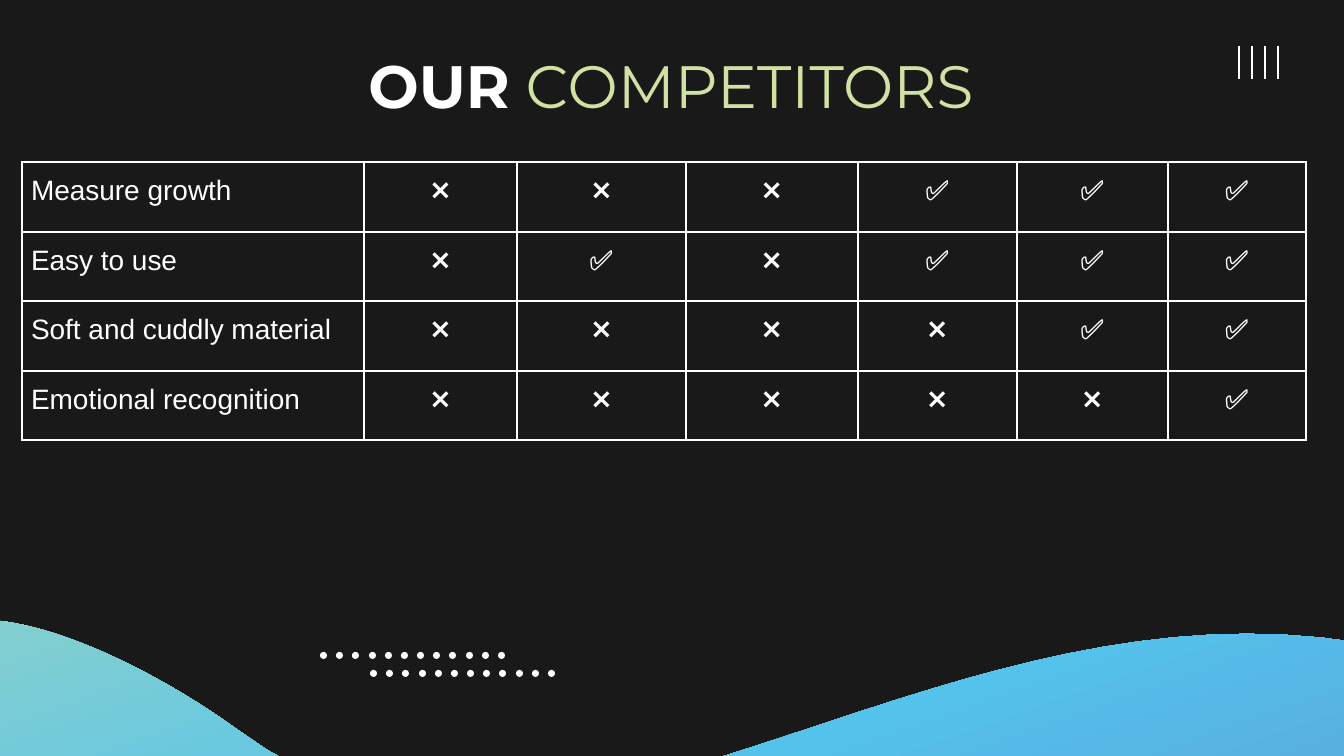
from math import cos, radians, sin

from lxml import etree
from pptx import Presentation
from pptx.dml.color import RGBColor
from pptx.enum.shapes import MSO_CONNECTOR as CONNECTOR, MSO_SHAPE as SHAPE
from pptx.enum.text import MSO_ANCHOR as ANCHOR, PP_ALIGN as ALIGN
from pptx.oxml.ns import qn
from pptx.util import Pt

SCALE = 914400 / 134.4
DARK = RGBColor(0x19, 0x19, 0x19)
WHITE = RGBColor(0xFF, 0xFF, 0xFF)
LIME = RGBColor(0xD0, 0xE1, 0xA3)
SKY = RGBColor(0x53, 0xC3, 0xEC)
BLUE = RGBColor(0x5C, 0x9C, 0xD5)
VIOLET = RGBColor(0x6E, 0x66, 0xAB)
WAVE_STOPS = [(0, LIME), (46, SKY), (66, BLUE), (100, VIOLET)]
WAVE_START = (-1, 621)
WAVE = [
    [(71, 629), (169, 680), (239, 731)],
    [(597, 996), (1025, 448), (1550, 704)],
    [(1648, 981)],
    [(1219, 1133)],
    [(1098, 1067), (567, 1058), (465, 1071)],
    [(-4, 1137), (-31, 1193), (-133, 1207)],
]
WAVE_CENTRE = (673, 855)
WAVE_TURN = -19.5
COLUMNS = [342, 153, 169, 172, 159, 151, 138]
ROWS = [70, 69, 70, 69]
FEATURES = [
    ("Measure growth", "❌❌❌✅✅✅"),
    ("Easy to use", "❌✅❌✅✅✅"),
    ("Soft and cuddly material", "❌❌❌❌✅✅"),
    ("Emotional recognition", "❌❌❌❌❌✅"),
]


def px(n):
    """Turn px into EMU."""
    return round(n * SCALE)


def add_run(p, text, font="Arial", size=15, color=WHITE, bold=False):
    """Add formatted text to a paragraph."""
    r = p.add_run()
    r.text = text
    r.font.name = font
    r.font.size = Pt(size)
    r.font.color.rgb = color
    r.font.bold = bold


def set_margins(box, size):
    """Give a text frame or cell equal margins."""
    box.margin_left = box.margin_right = px(size)
    box.margin_top = box.margin_bottom = px(size)


def flatten(start, segments, steps=40):
    """Return the points along a chain of lines and cubic curves."""
    points = [start]
    for seg in segments:
        if len(seg) == 1:
            points += seg
            continue
        ctrl = [points[-1], *seg]
        for i in range(1, steps + 1):
            t = i / steps
            weights = [(1 - t) ** 3, 3 * t * (1 - t) ** 2, 3 * t * t * (1 - t), t ** 3]
            points.append(tuple(sum(w * c[k] for w, c in zip(weights, ctrl)) for k in (0, 1)))
    return points


def turn(point, centre, degrees):
    """Turn a point clockwise about a centre."""
    a = radians(degrees)
    dx, dy = point[0] - centre[0], point[1] - centre[1]
    return centre[0] + dx * cos(a) - dy * sin(a), centre[1] + dx * sin(a) + dy * cos(a)


def add_wave(s):
    """Draw the turned gradient wave."""
    points = [turn(pt, WAVE_CENTRE, -WAVE_TURN) for pt in flatten(WAVE_START, WAVE)]
    emu = [(px(x), px(y)) for x, y in points]
    fb = s.shapes.build_freeform(*emu[0])
    fb.add_line_segments(emu[1:], close=True)
    sp = fb.convert_to_shape()
    sp.rotation = WAVE_TURN % 360
    sp.shadow.inherit = False
    sp.line.fill.background()
    sp.fill.gradient()
    sp.fill.gradient_angle = 270
    stops = sp._element.spPr.find(".//" + qn("a:gsLst"))
    for old in list(stops):
        stops.remove(old)
    for pos, color in WAVE_STOPS:
        gs = etree.SubElement(stops, qn("a:gs"), pos=str(pos * 1000))
        etree.SubElement(gs, qn("a:srgbClr"), val=str(color))


def add_dots(s, left, top, count=12, span=178, size=7):
    """Draw an evenly spaced row of dots."""
    for i in range(count):
        x = left + round(span * i / (count - 1))
        sp = s.shapes.add_shape(SHAPE.OVAL, px(x), px(top), px(size), px(size))
        sp.shadow.inherit = False
        sp.fill.solid()
        sp.fill.fore_color.rgb = WHITE
        sp.line.fill.background()


def add_bar(s, x, top, bottom):
    """Draw a thin vertical line."""
    ln = s.shapes.add_connector(CONNECTOR.STRAIGHT, px(x), px(top), px(x), px(bottom))
    ln.line.color.rgb = WHITE
    ln.line.width = Pt(1.5)
    etree.SubElement(ln._element.spPr, qn("a:effectLst"))


def add_title(s):
    """Add the two-tone title."""
    tf = s.shapes.add_textbox(px(313), px(36), px(716), px(85)).text_frame
    tf.word_wrap = True
    tf.vertical_anchor = ANCHOR.TOP
    set_margins(tf, 13)
    p = tf.paragraphs[0]
    p.alignment = ALIGN.CENTER
    add_run(p, "OUR", font="Montserrat", size=32, bold=True)
    add_run(p, " COMPETITORS", font="Montserrat", size=32, color=LIME)


def set_borders(cell):
    """Give a cell white borders on all sides and no fill."""
    tcPr = cell._tc.get_or_add_tcPr()
    for side in ("lnL", "lnR", "lnT", "lnB"):
        ln = etree.SubElement(tcPr, qn("a:" + side), w=str(Pt(1)))
        fill = etree.SubElement(ln, qn("a:solidFill"))
        etree.SubElement(fill, qn("a:srgbClr"), val=str(WHITE))
    cell.fill.background()


def fill_cell(cell, text, align):
    """Write and format one table cell."""
    set_margins(cell, 9)
    set_borders(cell)
    p = cell.text_frame.paragraphs[0]
    p.alignment = align
    p.line_spacing = 1.15
    add_run(p, text)


def add_features(s):
    """Add the table that compares features."""
    frame = s.shapes.add_table(len(ROWS), len(COLUMNS), px(22), px(162),
                               px(sum(COLUMNS)), px(sum(ROWS)))
    table = frame.table
    table.first_row = table.horz_banding = False
    for col, width in zip(table.columns, COLUMNS):
        col.width = px(width)
    for row, height, (label, marks) in zip(table.rows, ROWS, FEATURES):
        row.height = px(height)
        for i, text in enumerate([label, *marks]):
            fill_cell(row.cells[i], text, ALIGN.CENTER if i else ALIGN.LEFT)


def main():
    """Build and save the slide."""
    prs = Presentation()
    prs.slide_width, prs.slide_height = px(1344), px(756)
    s = prs.slides.add_slide(prs.slide_layouts[6])
    s.background.fill.solid()
    s.background.fill.fore_color.rgb = DARK
    add_wave(s)
    add_dots(s, 320, 652)
    add_dots(s, 370, 670)
    for i in range(4):
        add_bar(s, 1239 + 13 * i, 46, 79)
    add_title(s)
    add_features(s)
    prs.save("out.pptx")


if __name__ == "__main__":
    main()
